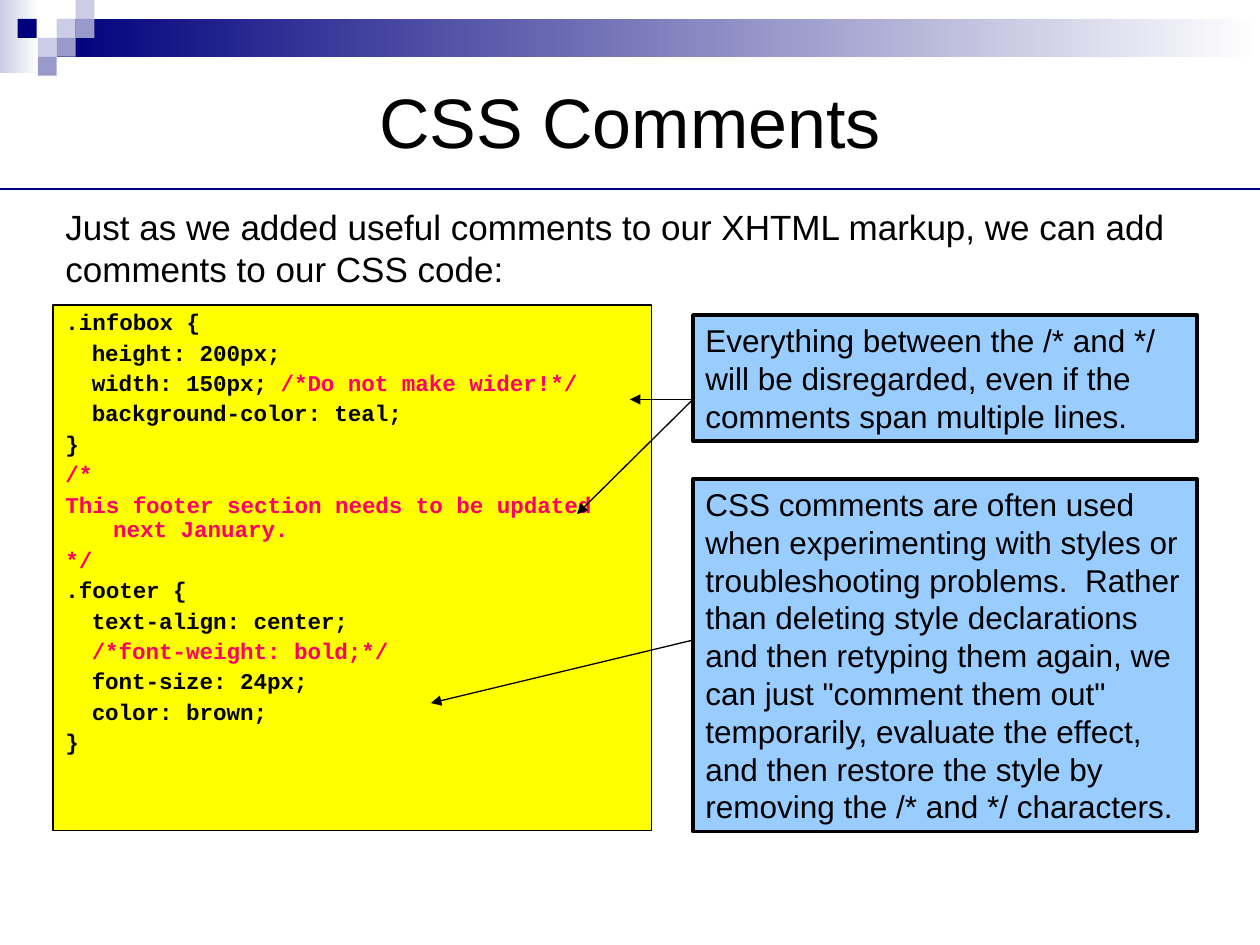
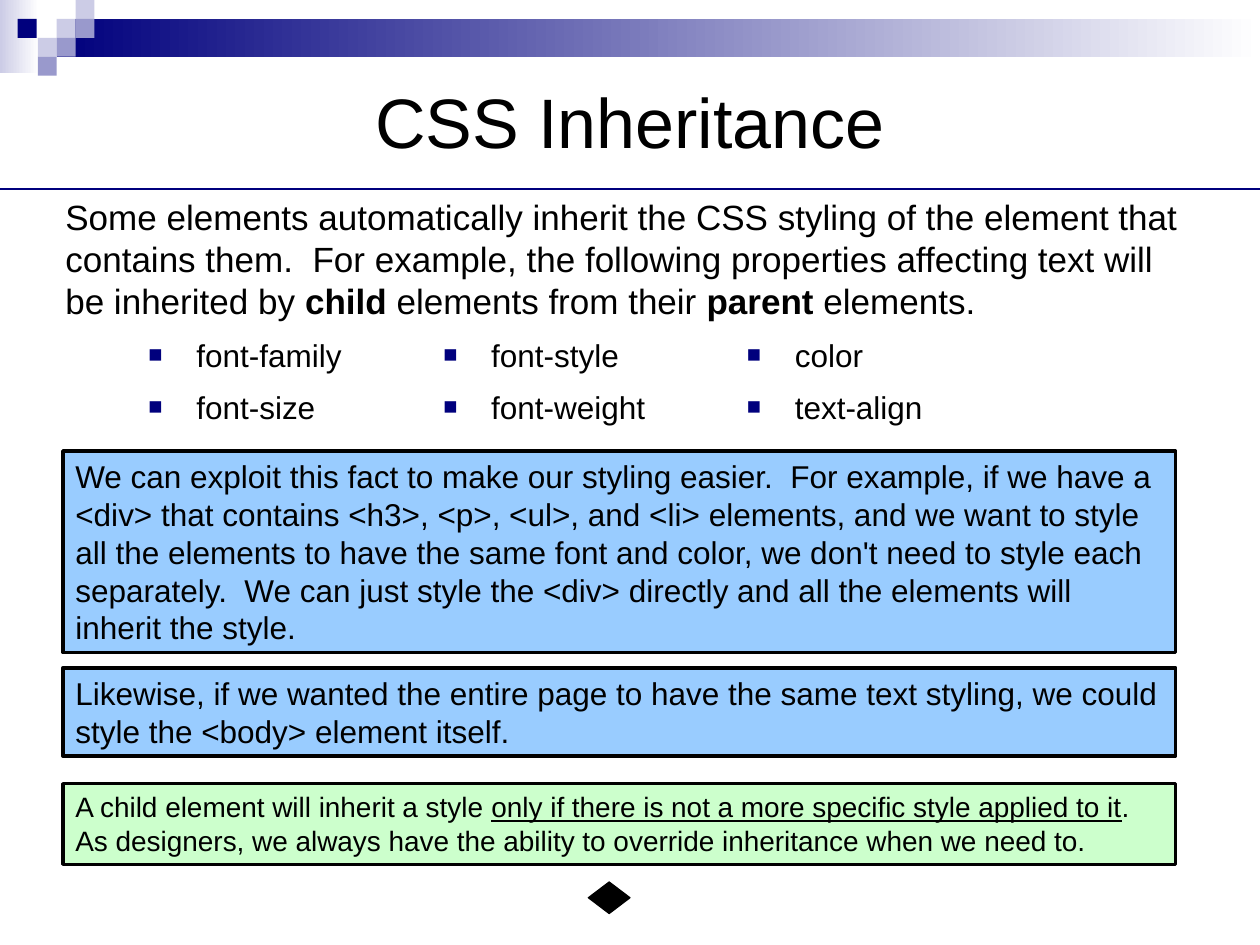
import pptx
import pptx.dml.color
import pptx.enum.shapes
import pptx.enum.text
import pptx.oxml
import pptx.oxml.ns
import pptx.util

Inches = pptx.util.Inches
Pt = pptx.util.Pt
RGBColor = pptx.dml.color.RGBColor
Preset = pptx.enum.shapes.MSO_SHAPE
Anchor = pptx.enum.text.MSO_ANCHOR
Align = pptx.enum.text.PP_ALIGN
AutoSize = pptx.enum.text.MSO_AUTO_SIZE

NAVY = RGBColor(0x00, 0x00, 0x7D)
LAVENDER = RGBColor(0xCC, 0xCC, 0xE6)
VIOLET = RGBColor(0x99, 0x99, 0xCC)
WHITE = RGBColor(0xFF, 0xFF, 0xFF)
BLACK = RGBColor(0x00, 0x00, 0x00)
YELLOW = RGBColor(0xFF, 0xFF, 0x00)
PINK = RGBColor(0xFF, 0x00, 0x66)
SKY = RGBColor(0x99, 0xCC, 0xFF)
MINT = RGBColor(0xCC, 0xFF, 0xCC)

TILE = 0.15
TILES = [
    (0.45, 1, LAVENDER), (0.6, 0, LAVENDER), (0.6, 1, VIOLET), (0.3, 2, LAVENDER),
    (0.14, 1, NAVY), (0.45, 2, VIOLET), (0.3, 3, VIOLET),
]

TITLE = {"size": Pt(40), "name": "Arial"}
INTRO = {"size": Pt(20), "name": "Arial"}
BODY = {"size": Pt(18), "name": "Arial"}
SMALL = {"size": Pt(16), "name": "Arial"}
CODE = {"size": Pt(12.9), "name": "Courier New", "bold": True}
BOLD = {"bold": True}
UNDERLINE = {"underline": True}
REMARK = {"color": PINK}

NOTE_SPACING = {"space_before": Pt(6), "space_after": Pt(6)}
CODE_SPACING = {"space_before": Pt(3.5), "line_spacing": 0.9}
LIST_SPACING = {"space_before": Pt(4.5), "line_spacing": Pt(25)}
HANGING = (0.38, -0.38)
NESTED = (0.21, 0)

CODE_LINES = [
    (HANGING, [".infobox {"]),
    (NESTED, ["height: 200px;"]),
    (NESTED, ["width: 150px; ", ("/*Do not make wider!*/", REMARK)]),
    (NESTED, ["background-color: teal;"]),
    (HANGING, ["}"]),
    (HANGING, [("/*", REMARK)]),
    (HANGING, [("This footer section needs to be updated next January.", REMARK)]),
    (HANGING, [("*/", REMARK)]),
    (HANGING, [".footer {"]),
    (NESTED, ["text-align: center;"]),
    (NESTED, [("/*font-weight: bold;*/", REMARK)]),
    (NESTED, ["font-size: 24px;"]),
    (NESTED, ["color: brown;"]),
    (HANGING, ["}"]),
]
PROPERTY_COLUMNS = [
    ["font-family", "font-size"],
    ["font-style", "font-weight"],
    ["color", "text-align"],
]


def apply(target, values):
    """Set each named value on the target."""
    for name, value in values.items():
        setattr(target, name, value)


def add_xml(parent, tag, **attributes):
    """Append a drawing element with attributes and return it."""
    element = pptx.oxml.parse_xml(f"<a:{tag} {pptx.oxml.ns.nsdecls('a')}/>")
    for name, value in attributes.items():
        element.set(name, value)
    parent.append(element)
    return element


class LessonDeck:
    """Holds the shared style and the current page."""

    def __init__(self):
        """Start an empty 10 by 7.5 inch deck."""
        self.deck = pptx.Presentation()
        apply(self.deck, {"slide_width": Inches(10), "slide_height": Inches(7.5)})
        self.page = None

    def add_page(self, title):
        """Add a page with the corner mosaic, band, title and rule."""
        self.page = self.deck.slides.add_slide(self.deck.slide_layouts[6])
        self.shape((0, 0, 0.31, 0.58), (LAVENDER, WHITE))
        self.shape((0.45, TILE, 9.55, 2 * TILE), (NAVY, WHITE))
        for left, row, color in TILES:
            self.shape((left, row * TILE, TILE, TILE), color)
        frame = self.text_box((0.5, 0.42, 9, 1.08))
        frame.vertical_anchor = Anchor.MIDDLE
        self.paragraph(frame, [title], TITLE, {"alignment": Align.CENTER})
        self.line((0, 1.5), (10, 1.5), NAVY, 1.25)

    def shape(self, bounds, fill, border=None, preset=Preset.RECTANGLE):
        """Add a preset shape with a plain or two-colour gradient fill."""
        box = self.page.shapes.add_shape(preset, *map(Inches, bounds))
        box.shadow.inherit = False
        if isinstance(fill, RGBColor):
            box.fill.solid()
            box.fill.fore_color.rgb = fill
        else:
            box.fill.gradient()
            box.fill.gradient_angle = 0
            for stop, color in zip(box.fill.gradient_stops, fill):
                stop.color.rgb = color
        if border:
            box.line.color.rgb = BLACK
            box.line.width = Pt(border)
        else:
            box.line.fill.background()
        return box

    def text_box(self, bounds):
        """Add a wrapping text box and return its frame."""
        frame = self.page.shapes.add_textbox(*map(Inches, bounds)).text_frame
        frame.word_wrap = True
        return frame

    def paragraph(self, frame, spans, style, layout=None, indent=None):
        """Add one paragraph of plain or specially formatted spans."""
        para = frame.paragraphs[0]
        if para.runs:
            para = frame.add_paragraph()
        apply(para, {"alignment": Align.LEFT, **(layout or {})})
        if indent:
            properties = para._p.get_or_add_pPr()
            for name, value in zip(("marL", "indent"), indent):
                properties.set(name, str(Inches(value)))
        for item in spans:
            text, extra = (item, {}) if isinstance(item, str) else item
            values = {**style, **extra}
            color = values.pop("color", BLACK)
            span = para.add_run()
            span.text = text
            apply(span.font, values)
            span.font.color.rgb = color
        return para

    def intro(self, bounds, spans):
        """Add the opening text of a page."""
        self.paragraph(self.text_box(bounds), spans, INTRO)

    def note(self, bounds, spans, fill=SKY, style=BODY):
        """Add a bordered note that grows with its text."""
        frame = self.shape(bounds, fill, 2).text_frame
        apply(frame, {"word_wrap": True, "vertical_anchor": Anchor.TOP,
                      "auto_size": AutoSize.SHAPE_TO_FIT_TEXT})
        self.paragraph(frame, spans, style, NOTE_SPACING)

    def code(self, bounds, lines):
        """Add a yellow code listing."""
        frame = self.shape(bounds, YELLOW, 0.75).text_frame
        apply(frame, {"word_wrap": True, "vertical_anchor": Anchor.TOP})
        for indent, spans in lines:
            self.paragraph(frame, spans, CODE, CODE_SPACING, indent)

    def bullets(self, bounds, items):
        """Add a list with square navy bullets."""
        frame = self.text_box(bounds)
        for item in items:
            para = self.paragraph(frame, [item], BODY, LIST_SPACING, HANGING)
            properties = para._p.get_or_add_pPr()
            add_xml(add_xml(properties, "buClr"), "srgbClr", val=str(NAVY))
            add_xml(properties, "buSzPct", val="75000")
            add_xml(properties, "buFont", typeface="Arial")
            add_xml(properties, "buChar", char="■")

    def line(self, start, end, color=BLACK, width=0.75, arrow=False):
        """Add a straight line, with an arrowhead at its end on request."""
        connector = self.page.shapes.add_connector(
            pptx.enum.shapes.MSO_CONNECTOR.STRAIGHT, *map(Inches, start + end))
        connector.line.color.rgb = color
        connector.line.width = Pt(width)
        if arrow:
            add_xml(connector.line._get_or_add_ln(), "tailEnd", type="triangle")
        add_xml(connector._element.spPr, "effectLst")


def build_comments(lesson):
    """Build the page on comments."""
    lesson.add_page("CSS Comments")
    lesson.intro((0.42, 1.58, 9.08, 0.75), [
        "Just as we added useful comments to our XHTML markup, "
        "we can add comments to our CSS code:"])
    lesson.code((0.42, 2.42, 4.75, 4.17), CODE_LINES)
    lesson.note((5.5, 2.5, 4, 1), [
        "Everything between the /* and */ will be disregarded, "
        "even if the comments span multiple lines."])
    for target in [(5, 3.17), (4.58, 4.08)]:
        lesson.line((5.5, 3.17), target, arrow=True)
    lesson.note((5.5, 3.8, 4, 2.8), [
        "CSS comments are often used when experimenting with styles or "
        "troubleshooting problems.  Rather than deleting style declarations "
        "and then retyping them again, we can just \"comment them out\" "
        "temporarily, evaluate the effect, and then restore the style by "
        "removing the /* and */ characters."])
    lesson.line((5.5, 5.08), (3.42, 5.58), arrow=True)


def build_inheritance(lesson):
    """Build the page on inheritance."""
    lesson.add_page("CSS Inheritance")
    lesson.intro((0.42, 1.5, 9.08, 1.08), [
        "Some elements automatically inherit the CSS styling of the element "
        "that contains them.  For example, the following properties affecting "
        "text will be inherited by ",
        ("child", BOLD), " elements from their ", ("parent", BOLD), " elements."])
    for left, names in zip((1.08, 3.42, 5.83), PROPERTY_COLUMNS):
        lesson.bullets((left, 2.57, 2.17, 0.95), names)
    lesson.note((0.5, 3.58, 8.83, 1.6), [
        "We can exploit this fact to make our styling easier.  For example, if "
        "we have a <div> that contains <h3>, <p>, <ul>, and <li> elements, and "
        "we want to style all the elements to have the same font and color, we "
        "don't need to style each separately.  We can just style the <div> "
        "directly and all the elements will inherit the style."])
    lesson.note((0.5, 5.3, 8.83, 0.7), [
        "Likewise, if we wanted the entire page to have the same text styling, "
        "we could style the <body> element itself."])
    lesson.note((0.5, 6.22, 8.83, 0.64), [
        "A child element will inherit a style ",
        ("only if there is not a more specific style applied to it", UNDERLINE),
        ".  As designers, we always have the ability to override inheritance "
        "when we need to."], MINT, SMALL)
    lesson.shape((4.67, 7, 0.33, 0.25), BLACK, 0.75, Preset.DIAMOND)


def main():
    """Build and save the deck."""
    lesson = LessonDeck()
    build_comments(lesson)
    build_inheritance(lesson)
    lesson.deck.save("out.pptx")


if __name__ == "__main__":
    main()
